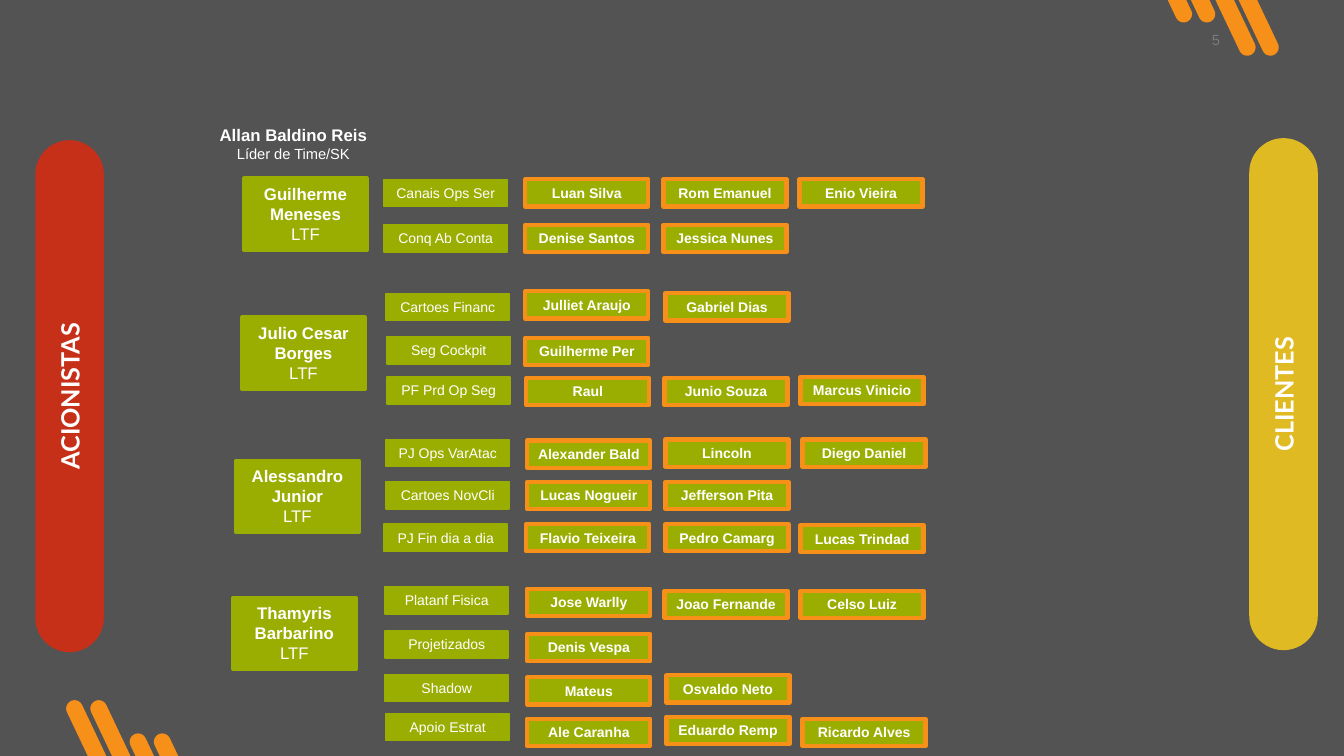
from math import cos, radians, sin, tan

from pptx import Presentation
from pptx.dml.color import RGBColor
from pptx.enum.shapes import MSO_SHAPE
from pptx.enum.text import MSO_ANCHOR, MSO_AUTO_SIZE, PP_ALIGN
from pptx.util import Inches, Pt

RECT = MSO_SHAPE.RECTANGLE
ROUND = MSO_SHAPE.ROUNDED_RECTANGLE
TOP, MIDDLE = MSO_ANCHOR.TOP, MSO_ANCHOR.MIDDLE
GROW = MSO_AUTO_SIZE.SHAPE_TO_FIT_TEXT
LEFT, CENTER, RIGHT = PP_ALIGN.LEFT, PP_ALIGN.CENTER, PP_ALIGN.RIGHT

GREEN, ORANGE, WHITE = "9AAE02", "F69018", "FFFFFF"
WIDE, HIGH = 13.33, 7.5
CELL = 1.22, 0.27
LEAD = 1.22, 0.71
TILT = 25.4

TEAMS = [
    ("Guilherme Meneses", 2.42, 1.77, [
        [("Canais Ops Ser", 3.81, 1.78), ("Luan Silva", 5.21, 1.78),
         ("Rom Emanuel", 6.58, 1.78), ("Enio Vieira", 7.93, 1.78)],
        [("Conq Ab Conta", 3.81, 2.23), ("Denise Santos", 5.21, 2.23),
         ("Jessica Nunes", 6.58, 2.23)],
    ]),
    ("Julio Cesar Borges", 2.4, 3.15, [
        [("Cartoes Financ", 3.83, 2.91), ("Julliet Araujo", 5.21, 2.89),
         ("Gabriel Dias", 6.6, 2.91)],
        [("Seg Cockpit", 3.84, 3.34), ("Guilherme Per", 5.21, 3.35)],
        [("PF Prd Op Seg", 3.84, 3.74), ("Raul", 5.22, 3.75),
         ("Junio Souza", 6.59, 3.75), ("Marcus Vinicio", 7.94, 3.74)],
    ]),
    ("Alessandro Junior", 2.34, 4.57, [
        [("PJ Ops VarAtac", 3.83, 4.36), ("Alexander Bald", 5.23, 4.37),
         ("Lincoln", 6.6, 4.36), ("Diego Daniel", 7.96, 4.36)],
        [("Cartoes NovCli", 3.83, 4.78), ("Lucas Nogueir", 5.23, 4.78),
         ("Jefferson Pita", 6.6, 4.78)],
        [("PJ Fin dia a dia", 3.81, 5.2), ("Flavio Teixeira", 5.22, 5.2),
         ("Pedro Camarg", 6.6, 5.2), ("Lucas Trindad", 7.94, 5.21)],
    ]),
    ("Thamyris Barbarino", 2.31, 5.93, [
        [("Platanf Fisica", 3.82, 5.82), ("Jose Warlly", 5.23, 5.84),
         ("Joao Fernande", 6.59, 5.86), ("Celso Luiz", 7.94, 5.86)],
        [("Projetizados", 3.82, 6.26), ("Denis Vespa", 5.23, 6.29)],
        [("Shadow", 3.82, 6.69), ("Mateus", 5.23, 6.72),
         ("Osvaldo Neto", 6.61, 6.7)],
        [("Apoio Estrat", 3.83, 7.08), ("Ale Caranha", 5.23, 7.13),
         ("Eduardo Remp", 6.61, 7.11), ("Ricardo Alves", 7.96, 7.13)],
    ]),
]


def color(code):
    return RGBColor.from_string(code)


def paint(shape, fill, line=None, width=0):
    shape.shadow.inherit = False
    shape.fill.solid()
    shape.fill.fore_color.rgb = color(fill)
    if line:
        shape.line.color.rgb = color(line)
        shape.line.width = Pt(width)
    else:
        shape.line.fill.background()


def write(shape, rows, font="Arial", tint=WHITE, anchor=TOP, wrap=True, inset=None):
    frame = shape.text_frame
    frame.text = "\n".join(row[0] for row in rows)
    frame.word_wrap = wrap
    frame.vertical_anchor = anchor
    if inset is not None:
        frame.margin_left = frame.margin_right = Inches(inset)
        frame.margin_top = frame.margin_bottom = Inches(inset)
    for para, (_, size, bold, align) in zip(frame.paragraphs, rows):
        para.alignment = align
        for run in para.runs:
            run.font.name = font
            run.font.size = Pt(size)
            run.font.bold = bold
            run.font.color.rgb = color(tint)
    return frame


def add_box(slide, kind, box):
    return slide.shapes.add_shape(kind, *map(Inches, box))


def add_card(slide, box, rows, line, width):
    card = add_box(slide, RECT, box)
    paint(card, GREEN, line, width)
    write(card, rows).auto_size = GROW


def add_team(slide, name, left, top, rows):
    add_card(slide, (left, top, *LEAD),
             [(name, 12, True, CENTER), ("LTF", 12, False, CENTER)], GREEN, 3)
    for row in rows:
        for col, (text, x, y) in enumerate(row):
            person = col > 0
            add_card(slide, (x, y, *CELL), [(text, 10, person, CENTER)],
                     ORANGE if person else GREEN, 3 if person else 1)


def add_bar(slide, box, text, fill):
    bar = add_box(slide, ROUND, box)
    bar.adjustments[0] = 0.5
    paint(bar, fill)
    frame = write(bar, [(text, 18, True, CENTER)], "Lato", anchor=MIDDLE, inset=0.05)
    frame._txBody.bodyPr.set("vert", "vert270")


def add_note(slide, box, rows, **style):
    note = slide.shapes.add_textbox(*map(Inches, box))
    write(note, rows, wrap=False, **style).auto_size = GROW


def stripe(x, y, edge, radius=0.083):
    side = 1 if edge > y else -1
    start = -TILT if side > 0 else 180 - TILT
    turns = [radians(start - 10 * step) for step in range(19)]
    cap = [(x + radius * cos(t), y + radius * sin(t)) for t in turns]
    mid = x + (edge - y) * tan(radians(TILT))
    half = side * radius / cos(radians(TILT))
    return [(Inches(a), Inches(b))
            for a, b in cap + [(mid - half, edge), (mid + half, edge)]]


def add_stripes(slide, caps, edge):
    lines = [stripe(x, y, edge) for x, y in caps]
    build = slide.shapes.build_freeform(*lines[0][0], scale=1.0)
    build.add_line_segments(lines[0][1:], close=True)
    for line in lines[1:]:
        build.move_to(*line[0])
        build.add_line_segments(line[1:], close=True)
    paint(build.convert_to_shape(), ORANGE)


def add_chart_slide(deck):
    slide = deck.slides.add_slide(deck.slide_layouts[6])
    back = slide.background.fill
    back.solid()
    back.fore_color.rgb = color("535353")
    add_stripes(slide, [(0.74, 7.03), (0.98, 7.03), (1.37, 7.36), (1.61, 7.36)], HIGH)
    add_stripes(slide, [(11.74, 0.14), (11.97, 0.14), (12.37, 0.47), (12.6, 0.47)], 0)
    add_note(slide, (11.96, 0.26, 0.19, 0.27), [("5", 10, False, RIGHT)],
             font="Manrope", tint="808080", inset=0.05)
    add_bar(slide, (0.35, 1.39, 0.68, 5.08), "ACIONISTAS", "C63018")
    add_bar(slide, (12.39, 1.37, 0.68, 5.08), "CLIENTES", "E0BA22")
    add_note(slide, (2.08, 1.19, 1.68, 0.48),
             [("Allan Baldino Reis", 12, True, LEFT),
              ("Líder de Time/SK", 10.5, False, CENTER)])
    for team in TEAMS:
        add_team(slide, *team)


def main():
    deck = Presentation()
    deck.slide_width, deck.slide_height = Inches(WIDE), Inches(HIGH)
    add_chart_slide(deck)
    deck.save("out.pptx")


if __name__ == "__main__":
    main()
